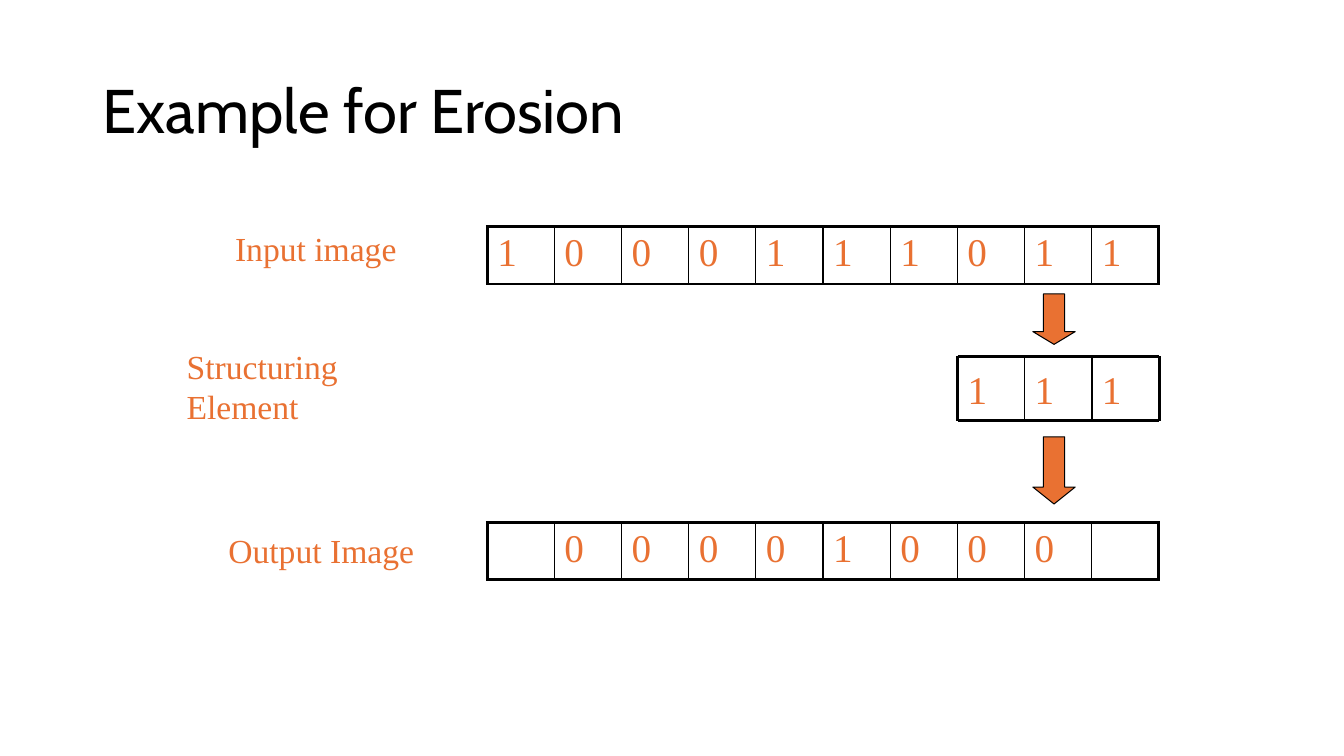
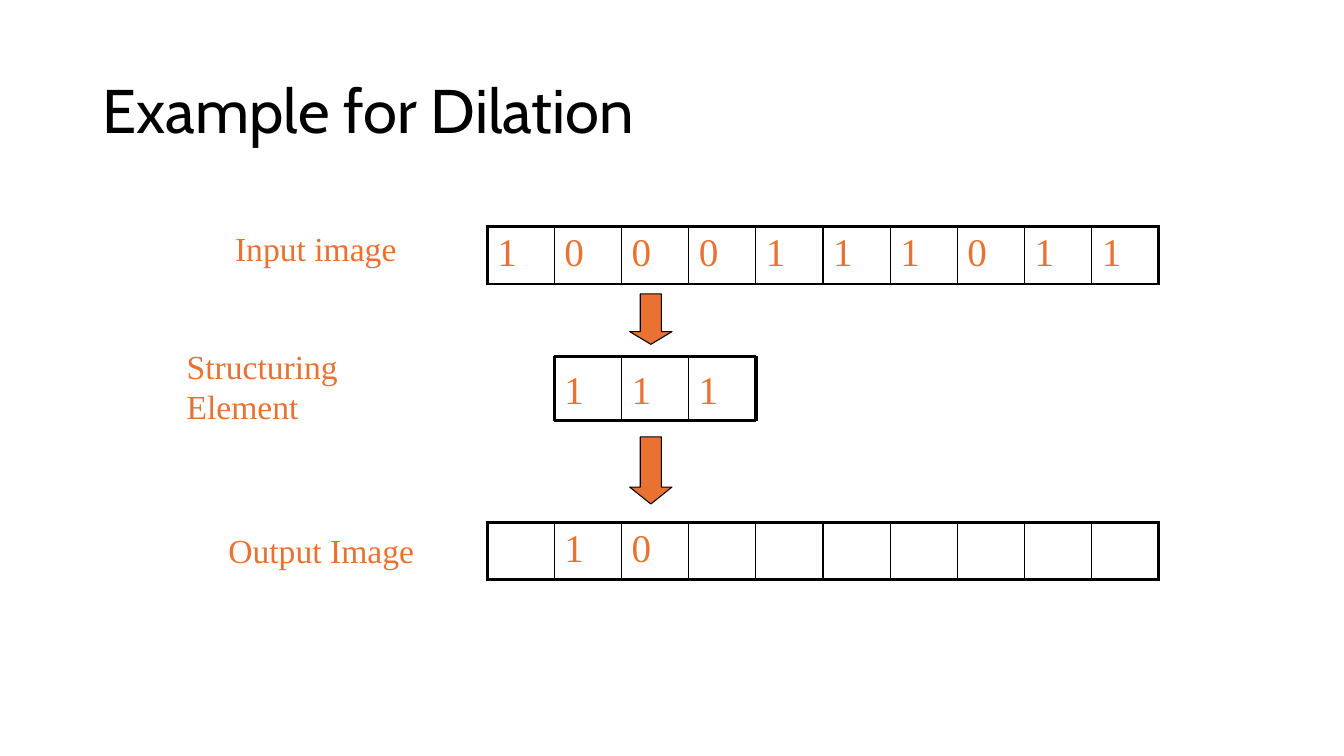
from lxml import etree
from pptx import Presentation, util as u
from pptx.dml.color import RGBColor
from pptx.enum import shapes, text
from pptx.oxml import ns

BLACK = RGBColor(0x00, 0x00, 0x00)
ORANGE = RGBColor(0xE9, 0x71, 0x32)
THICK, THIN, OUTLINE = 2.25, 1, 0.75
GRID_COLUMNS, GRID_ROWS = 20, 90
STRIP_LEFT = 7.25
LABELS = [
    ("Input image", 3.35, 26.5, 2.7),
    ("Structuring Element", 2.63, 43, 4.33),
    ("Output Image", 3.25, 62.5, 3.06),
]


class MorphologyDeck:
    """Deck of bit strips on a 20 by 90 grid, with one shared style."""

    def __init__(self):
        self.deck = Presentation()
        self.deck.slide_width = u.Inches(13.33)
        self.deck.slide_height = u.Inches(7.5)
        self.page = None

    def across(self, columns):
        return round(self.deck.slide_width * columns / GRID_COLUMNS)

    def down(self, rows):
        return round(self.deck.slide_height * rows / GRID_ROWS)

    def area(self, left, top, width, height):
        return (self.across(left), self.down(top),
                self.across(width), self.down(height))

    def set_words(self, frame, words, size, name="Times New Roman",
                  color=ORANGE):
        para = frame.paragraphs[0]
        para.text = words
        para.alignment = text.PP_ALIGN.LEFT
        para.font.size = u.Pt(size)
        para.font.name = name
        para.font.color.rgb = color
        return para

    def add_page(self, heading):
        self.page = self.deck.slides.add_slide(self.deck.slide_layouts[5])
        title = self.page.shapes.title
        title.left, title.top, title.width, title.height = self.area(
            1.38, 4.8, 17.25, 17.4)
        title.text_frame.vertical_anchor = text.MSO_ANCHOR.MIDDLE
        para = self.set_words(title.text_frame, heading, 44, "Cabin", BLACK)
        para.line_spacing = 0.9

    def add_text(self, words, left, top, width, height, size):
        box = self.page.shapes.add_textbox(
            *self.area(left, top, width, height))
        box.text_frame.word_wrap = False
        box.text_frame.vertical_anchor = text.MSO_ANCHOR.MIDDLE
        self.set_words(box.text_frame, words, size)

    def border(self, cell, side, weight):
        properties = cell._tc.get_or_add_tcPr()
        line = etree.SubElement(
            properties, ns.qn(f"a:ln{side}"), w=str(u.Pt(weight)))
        fill = etree.SubElement(line, ns.qn("a:solidFill"))
        etree.SubElement(fill, ns.qn("a:srgbClr"), val=str(BLACK))

    def add_strip(self, bits, top):
        table = self.page.shapes.add_table(
            1, len(bits), *self.area(STRIP_LEFT, top, len(bits), 6.8)).table
        table.first_row = table.horz_banding = False
        last = len(bits) - 1
        for index, bit in enumerate(bits):
            table.columns[index].width = self.across(1)
            cell = table.cell(0, index)
            if bit.strip():
                self.set_words(cell.text_frame, bit, 28)
            self.border(cell, "L", THICK if index == 0 else THIN)
            self.border(cell, "R", THICK if index == last else THIN)
            self.border(cell, "T", THICK)
            self.border(cell, "B", THICK)
            cell.fill.background()

    def add_line(self, left, top, right, bottom, weight):
        line = self.page.shapes.add_connector(
            shapes.MSO_CONNECTOR.STRAIGHT, self.across(left), self.down(top),
            self.across(right), self.down(bottom))
        line.line.color.rgb = BLACK
        line.line.width = u.Pt(weight)
        etree.SubElement(line._element.spPr, ns.qn("a:effectLst"))

    def add_element(self, bits, left, top, height):
        right, bottom = left + len(bits), top + height
        for index, bit in enumerate(bits):
            self.add_text(bit, left + index, top, 1, height, 28)
        for edge in (top, bottom):
            self.add_line(left, edge, right, edge, THICK)
        for index in range(len(bits) + 1):
            weight = THICK if index in (0, len(bits)) else THIN
            self.add_line(left + index, top, left + index, bottom, weight)

    def add_arrow(self, left, top, height, head):
        arrow = self.page.shapes.add_shape(
            shapes.MSO_SHAPE.DOWN_ARROW, *self.area(left, top, 0.63, height))
        arrow.adjustments[0] = 0.5
        arrow.adjustments[1] = head
        arrow.shadow.inherit = False
        arrow.fill.solid()
        arrow.fill.fore_color.rgb = ORANGE
        arrow.line.color.rgb = BLACK
        arrow.line.width = u.Pt(OUTLINE)

    def add_example(self, heading, output, offset):
        self.add_page(heading)
        for words, left, top, width in LABELS:
            self.add_text(words, left, top, width, 6, 24)
        self.add_strip("1000111011", 27)
        self.add_strip(output, 62.2)
        left = STRIP_LEFT + offset
        self.add_element("111", left, 42.4, 7.7)
        self.add_arrow(left + 1.12, 35, 6, 0.3)
        self.add_arrow(left + 1.12, 52, 8, 0.4)


def main():
    examples = MorphologyDeck()
    examples.add_example("Example for Erosion", " 00001000 ", 7)
    examples.add_example("Example for Dilation", " 10".ljust(10), 1)
    examples.deck.save("out.pptx")


if __name__ == "__main__":
    main()
